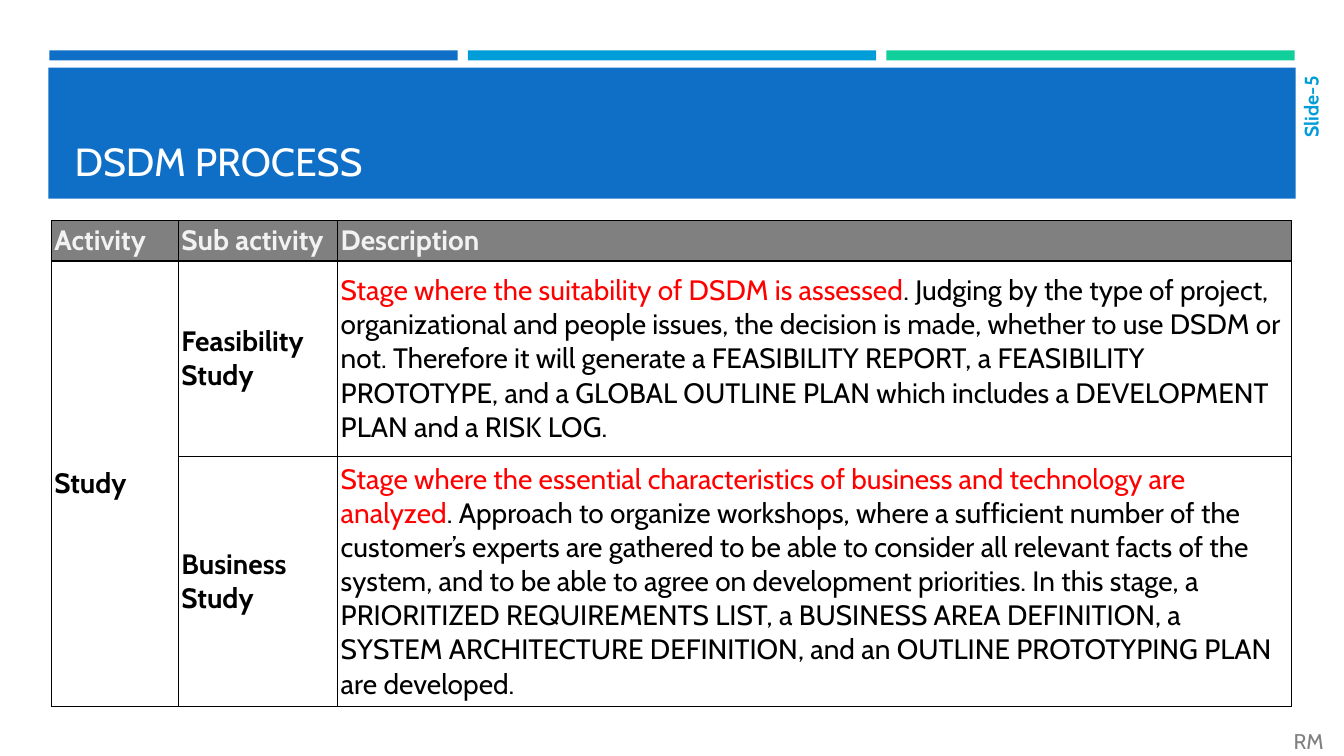
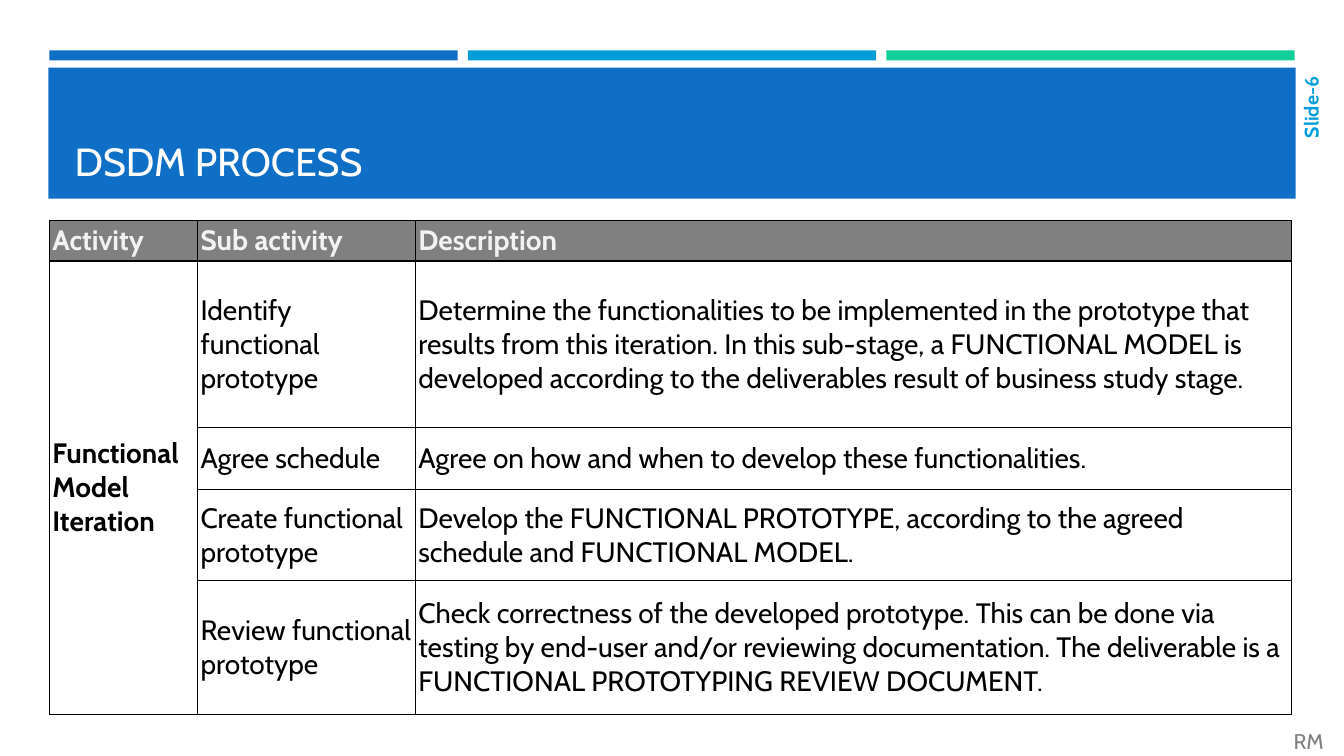
import pptx
import pptx.dml.color
import pptx.enum.shapes
import pptx.enum.text
import pptx.oxml
import pptx.oxml.ns
import pptx.util

Inches = pptx.util.Inches
Pt = pptx.util.Pt
Align = pptx.enum.text.PP_ALIGN
Anchor = pptx.enum.text.MSO_ANCHOR

FONT = "Cabin"
BLUE, SKY, GREEN = "0F6FC6", "009DD9", "10CF9B"
BLACK, WHITE, RED = "000000", "FFFFFF", "FF0000"
GRAY, PALE = "808080", "F2F2F2"

TITLE = "DSDM PROCESS"
HEADINGS = ("Activity", "Sub activity", "Description")
TABLE_TOP = 2.19

# Each row holds the sub activity, the highlighted lead and the rest of the description.
STUDY_ROWS = [
    ("Feasibility Study",
     "Stage where the suitability of DSDM is assessed",
     ". Judging by the type of project, organizational and people issues, the decision is made, "
     "whether to use DSDM or not. Therefore it will generate a FEASIBILITY REPORT, a FEASIBILITY "
     "PROTOTYPE, and a GLOBAL OUTLINE PLAN which includes a DEVELOPMENT PLAN and a RISK LOG."),
    ("Business Study",
     "Stage where the essential characteristics of business and technology are analyzed",
     ". Approach to organize workshops, where a sufficient number of the customer’s experts are "
     "gathered to be able to consider all relevant facts of the system, and to be able to agree on "
     "development priorities. In this stage, a PRIORITIZED REQUIREMENTS LIST, a BUSINESS AREA "
     "DEFINITION, a SYSTEM ARCHITECTURE DEFINITION, and an OUTLINE PROTOTYPING PLAN are developed."),
]
MODEL_ROWS = [
    ("Identify functional prototype", "",
     "Determine the functionalities to be implemented in the prototype that results from this "
     "iteration. In this sub-stage, a FUNCTIONAL MODEL is developed according to the deliverables "
     "result of business study stage."),
    ("Agree schedule", "",
     "Agree on how and when to develop these functionalities."),
    ("Create functional prototype", "",
     "Develop the FUNCTIONAL PROTOTYPE, according to the agreed schedule and FUNCTIONAL MODEL."),
    ("Review functional prototype", "",
     "Check correctness of the developed prototype. This can be done via testing by end-user and/or "
     "reviewing documentation. The deliverable is a FUNCTIONAL PROTOTYPING REVIEW DOCUMENT."),
]


def rgb(value):
    return pptx.dml.color.RGBColor.from_string(value)


def style(para, size, color, bold=False, align=Align.LEFT):
    para.alignment = align
    para.font.name = FONT
    para.font.size = Pt(size)
    para.font.bold = bold
    para.font.color.rgb = rgb(color)


def place(shape, left, top, width, height):
    shape.left, shape.top = Inches(left), Inches(top)
    shape.width, shape.height = Inches(width), Inches(height)


def add_bar(page, left, top, width, height, color):
    bar = page.shapes.add_shape(pptx.enum.shapes.MSO_SHAPE.RECTANGLE, Inches(left), Inches(top),
                                Inches(width), Inches(height))
    bar.shadow.inherit = False
    bar.fill.solid()
    bar.fill.fore_color.rgb = rgb(color)
    bar.line.fill.background()
    return bar


def dress_layout(layout, page):
    """Put the bands and the title position on the layout, using page to make the shapes."""
    left, width, gap = 0.49, 4.05, 0.1
    bars = [add_bar(page, left + i * (width + gap), 0.5, width, 0.1, color)
            for i, color in enumerate((BLUE, SKY, GREEN))]
    bars.append(add_bar(page, 0.48, 0.67, 12.37, 1.3, BLUE))
    for bar in bars:
        layout.shapes.element.insert(2, bar.element)
    for holder in layout.placeholders:
        if holder.placeholder_format.type == pptx.enum.shapes.PP_PLACEHOLDER.TITLE:
            place(holder, 0.64, 0.77, 12.06, 1.11)


def add_label(page, text, box, size, color, bold, align, vertical=False):
    label = page.shapes.add_textbox(*(Inches(length) for length in box))
    frame = label.text_frame
    frame.word_wrap = True
    frame.auto_size = pptx.enum.text.MSO_AUTO_SIZE.NONE
    frame.vertical_anchor = Anchor.MIDDLE
    if vertical:
        frame.text = text
        label.element.txBody.find(pptx.oxml.ns.qn("a:bodyPr")).set("vert", "vert270")
    frame.text = text
    style(frame.paragraphs[0], size, color, bold, align)


def add_frame(page, number):
    """Fill the title, the slide label and the initials."""
    frame = page.shapes.title.text_frame
    frame.text = TITLE
    frame.auto_size = pptx.enum.text.MSO_AUTO_SIZE.NONE
    frame.vertical_anchor = Anchor.BOTTOM
    style(frame.paragraphs[0], 28, WHITE)
    add_label(page, f"Slide-{number}", (12.87, 0.66, 0.26, 1.12), 14, SKY, True, Align.RIGHT, True)
    add_label(page, "RM", (12.63, 7.2, 0.7, 0.3), 15.2, GRAY, False, Align.CENTER)


def add_borders(cell):
    properties = cell._tc.get_or_add_tcPr()
    for position, side in enumerate(("lnL", "lnR", "lnT", "lnB")):
        properties.insert(position, pptx.oxml.parse_xml(
            f'<a:{side} {pptx.oxml.ns.nsdecls("a")} w="12700"><a:solidFill>'
            f'<a:srgbClr val="{BLACK}"/></a:solidFill></a:{side}>'))


def fill_cell(cell, text, color=BLACK, bold=False, fill=WHITE, lead=""):
    cell.margin_left = cell.margin_right = cell.margin_top = cell.margin_bottom = Inches(0.03)
    cell.vertical_anchor = Anchor.MIDDLE
    cell.fill.solid()
    cell.fill.fore_color.rgb = rgb(fill)
    add_borders(cell)
    para = cell.text_frame.paragraphs[0]
    style(para, 20, color, bold)
    if lead:
        span = para.add_run()
        span.text = lead
        span.font.color.rgb = rgb(RED)
    if text:
        para.add_run().text = text


def add_process_table(page, left, widths, heights, activity, rows, bold_subs):
    table = page.shapes.add_table(len(heights), len(widths), Inches(left), Inches(TABLE_TOP),
                                  Inches(sum(widths)), Inches(sum(heights))).table
    for column, width in zip(table.columns, widths):
        column.width = Inches(width)
    for row, height in zip(table.rows, heights):
        row.height = Inches(height)
    for column, heading in enumerate(HEADINGS):
        fill_cell(table.cell(0, column), heading, PALE, True, GRAY)
    for number, (sub, lead, description) in enumerate(rows, 1):
        fill_cell(table.cell(number, 0), activity if number == 1 else "", bold=True)
        fill_cell(table.cell(number, 1), sub, bold=bold_subs)
        fill_cell(table.cell(number, 2), description, lead=lead)
    table.cell(1, 0).merge(table.cell(len(rows), 0))


def main():
    deck = pptx.Presentation()
    deck.slide_width, deck.slide_height = Inches(13.33), Inches(7.5)
    layout = deck.slide_layouts[5]
    study, model = (deck.slides.add_slide(layout) for _ in range(2))
    dress_layout(layout, study)
    for number, page in enumerate((study, model), 5):
        add_frame(page, number)
    add_process_table(study, 0.51, (1.26, 1.58, 9.46), (0.4, 1.94, 2.48),
                      "Study", STUDY_ROWS, True)
    add_process_table(model, 0.49, (1.47, 2.16, 8.69), (0.39, 1.65, 0.62, 0.9, 1.33),
                      "Functional Model Iteration", MODEL_ROWS, False)
    deck.save("out.pptx")


if __name__ == "__main__":
    main()
